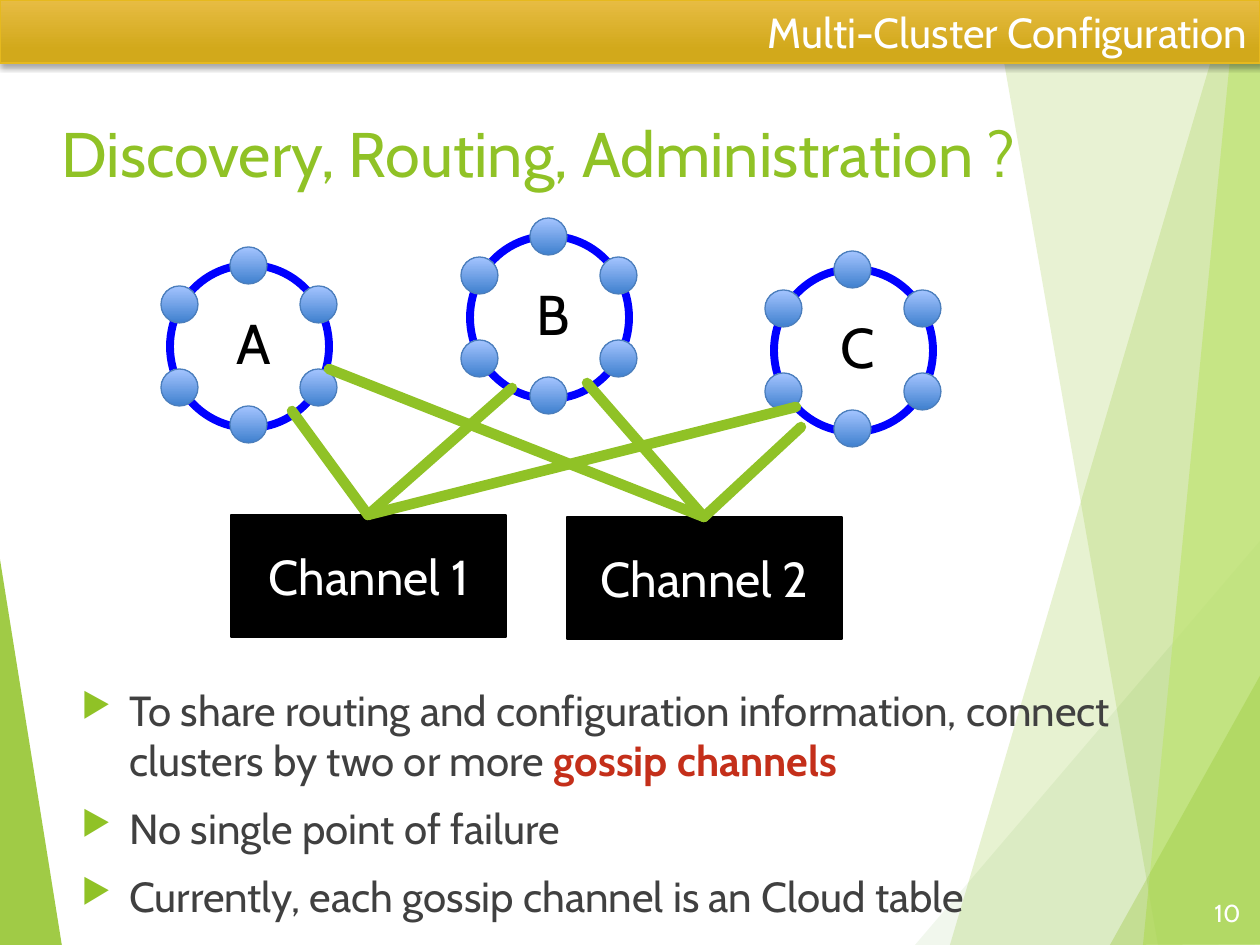
from lxml import etree
from pptx import Presentation
from pptx.dml.color import RGBColor
from pptx.enum.shapes import MSO_CONNECTOR, MSO_SHAPE
from pptx.enum.text import MSO_ANCHOR as ANCHOR, PP_ALIGN as ALIGN
from pptx.oxml.ns import qn
from pptx.util import Emu, Pt

SCALE = 914400 / 126
GREEN = RGBColor(0x90, 0xC2, 0x26)
DARK_GREEN = RGBColor(0x54, 0xA0, 0x21)
LIME = RGBColor(0xC0, 0xE4, 0x74)
GREY = RGBColor(0x40, 0x40, 0x40)
RED = RGBColor(0xC4, 0x2F, 0x1A)
WHITE = RGBColor(0xFF, 0xFF, 0xFF)
BLACK = RGBColor(0, 0, 0)
BLUE = RGBColor(0, 0, 0xFF)
NODE_LINE = RGBColor(0x4B, 0x7E, 0xBC)
NODE_DARK = RGBColor(0x3F, 0x80, 0xCE)
NODE_LIGHT = RGBColor(0xA4, 0xC4, 0xFF)
GOLD_LINE = RGBColor(0xE6, 0xB9, 0x1E)
GOLD_LIGHT = RGBColor(0xE7, 0xBC, 0x43)
GOLD_DARK = RGBColor(0xD2, 0xA9, 0x1B)


def px(*values):
    return [Emu(round(v * SCALE)) for v in values]


def add_run(p, text, size, color, bold=False):
    r = p.add_run()
    r.text = text
    for name, value in {"name": "Cabin", "size": Pt(size), "bold": bold}.items():
        setattr(r.font, name, value)
    r.font.color.rgb = color


prs = Presentation()
prs.slide_width, prs.slide_height = px(1260, 945)
s = prs.slides.add_slide(prs.slide_layouts[6])
shapes = s.shapes

facets = [
    ([(-1, 553), (62, 946), (-1, 945)], GREEN, 85),
    ([(1229, 0), (950, 945), (1262, 946), (1261, 1)], GREEN, 21),
    ([(993, -1), (1158, 945), (1261, 945), (1261, -1)], GREEN, 20),
    ([(915, 945), (1260, 541), (1261, 945)], DARK_GREEN, 8),
    ([(1236, -1), (1143, 945), (1261, 945), (1260, -1)], LIME, 70),
    ([(1110, 945), (1261, 674), (1261, 944)], GREEN, 30),
]
for points, color, opacity in facets:
    builder = shapes.build_freeform(*points[0], scale=SCALE)
    builder.add_line_segments(points[1:])
    sp = builder.convert_to_shape()
    sp.shadow.inherit = False
    sp.line.fill.background()
    sp.fill.solid()
    sp.fill.fore_color.rgb = color
    clr = sp._element.spPr.find(qn("a:solidFill"))[0]
    etree.SubElement(clr, qn("a:alpha"), val=str(opacity * 1000))

tf = shapes.add_textbox(*px(49, 108, 1084, 181)).text_frame
tf.word_wrap = True
add_run(tf.paragraphs[0], "Discovery, Routing, Administration ?", 36, GREEN)

bullets = [
    [("To share routing and configuration information, connect clusters by two or more ", GREY, False),
     ("gossip channels", RED, True)],
    [("No single point of failure", GREY, False)],
    [("Currently, each gossip channel is an Cloud table", GREY, False)],
]
tf = shapes.add_textbox(*px(69, 678, 1131, 534)).text_frame
tf.word_wrap = True
for i, runs in enumerate(bullets):
    p = tf.add_paragraph() if i else tf.paragraphs[0]
    p.space_before = Pt(10)
    pPr = p._p.get_or_add_pPr()
    indent = px(48)[0]
    pPr.set("marL", str(indent))
    pPr.set("indent", str(-indent))
    bu_clr = etree.SubElement(pPr, qn("a:buClr"))
    etree.SubElement(bu_clr, qn("a:srgbClr"), val=str(GREEN))
    etree.SubElement(pPr, qn("a:buSzPct"), val="80000")
    etree.SubElement(pPr, qn("a:buChar"), char="▶")
    for text, color, bold in runs:
        add_run(p, text, 24, color, bold)

tf = shapes.add_textbox(*px(1182, 888, 71, 50)).text_frame
tf.word_wrap = True
tf.vertical_anchor = ANCHOR.MIDDLE
tf.paragraphs[0].alignment = ALIGN.RIGHT
add_run(tf.paragraphs[0], "10", 14, WHITE)

node_offsets = [(-9, 104), (60, -18), (-9, 21), (60, 141), (130, 104), (130, 21)]
for name, x, y in [("A", 170, 265), ("C", 774, 269), ("B", 470, 236)]:
    sp = shapes.add_shape(MSO_SHAPE.OVAL, *px(x, y, 159, 163))
    sp.shadow.inherit = False
    sp.fill.background()
    sp.line.color.rgb = BLUE
    sp.line.width = Pt(4.5)
    for dx, dy in node_offsets:
        sp = shapes.add_shape(MSO_SHAPE.OVAL, *px(x + dx, y + dy, 37, 37))
        sp.shadow.inherit = False
        sp.line.color.rgb = NODE_LINE
        sp.line.width = Pt(0.75)
        sp.fill.gradient()
        sp.fill.gradient_angle = 90
        for stop, color in zip(sp.fill.gradient_stops, (NODE_DARK, NODE_LIGHT)):
            stop.color.rgb = color
    tf = shapes.add_textbox(*px(x + 54, y + 37, 68, 81)).text_frame
    tf.word_wrap = True
    add_run(tf.paragraphs[0], name, 32, BLACK)

sp = shapes.add_shape(MSO_SHAPE.RECTANGLE, *px(0, 0, 1260, 63))
sp.line.color.rgb = GOLD_LINE
sp.line.width = Pt(1)
sp.fill.gradient()
sp.fill.gradient_angle = 270
for stop, color, position in zip(sp.fill.gradient_stops, (GOLD_LIGHT, GOLD_DARK), (0, 0.78)):
    stop.color.rgb = color
    stop.position = position
sp.shadow.inherit = False
shadow = etree.SubElement(sp._element.spPr.find(qn("a:effectLst")), qn("a:outerShdw"),
                          blurRad=str(Pt(3)), dist=str(Pt(2)), dir="5400000", rotWithShape="0")
clr = etree.SubElement(shadow, qn("a:srgbClr"), val=str(BLACK))
etree.SubElement(clr, qn("a:alpha"), val="35000")
tf = sp.text_frame
tf.vertical_anchor = ANCHOR.TOP
tf.paragraphs[0].alignment = ALIGN.RIGHT
add_run(tf.paragraphs[0], "Multi-Cluster Configuration", 24, WHITE)

channels = [
    ("Channel 1", 231, 515, [(292, 411), (512, 388), (796, 407)]),
    ("Channel 2", 567, 517, [(329, 369), (587, 383), (801, 427)]),
]
for name, x, y, _ in channels:
    sp = shapes.add_shape(MSO_SHAPE.RECTANGLE, *px(x, y, 275, 122))
    sp.shadow.inherit = False
    sp.fill.solid()
    sp.fill.fore_color.rgb = BLACK
    sp.line.color.rgb = BLACK
    sp.line.width = Pt(1.5)
    tf = sp.text_frame
    tf.vertical_anchor = ANCHOR.MIDDLE
    tf.paragraphs[0].alignment = ALIGN.CENTER
    add_run(tf.paragraphs[0], name, 28, WHITE)

for _, x, y, starts in channels:
    for start in starts:
        line = shapes.add_connector(MSO_CONNECTOR.STRAIGHT, *px(*start, x + 137, y))
        line.line.color.rgb = GREEN
        line.line.width = Pt(6)
        line.line._ln.set("cap", "rnd")
        etree.SubElement(line._element.spPr, qn("a:effectLst"))

prs.save("out.pptx")
